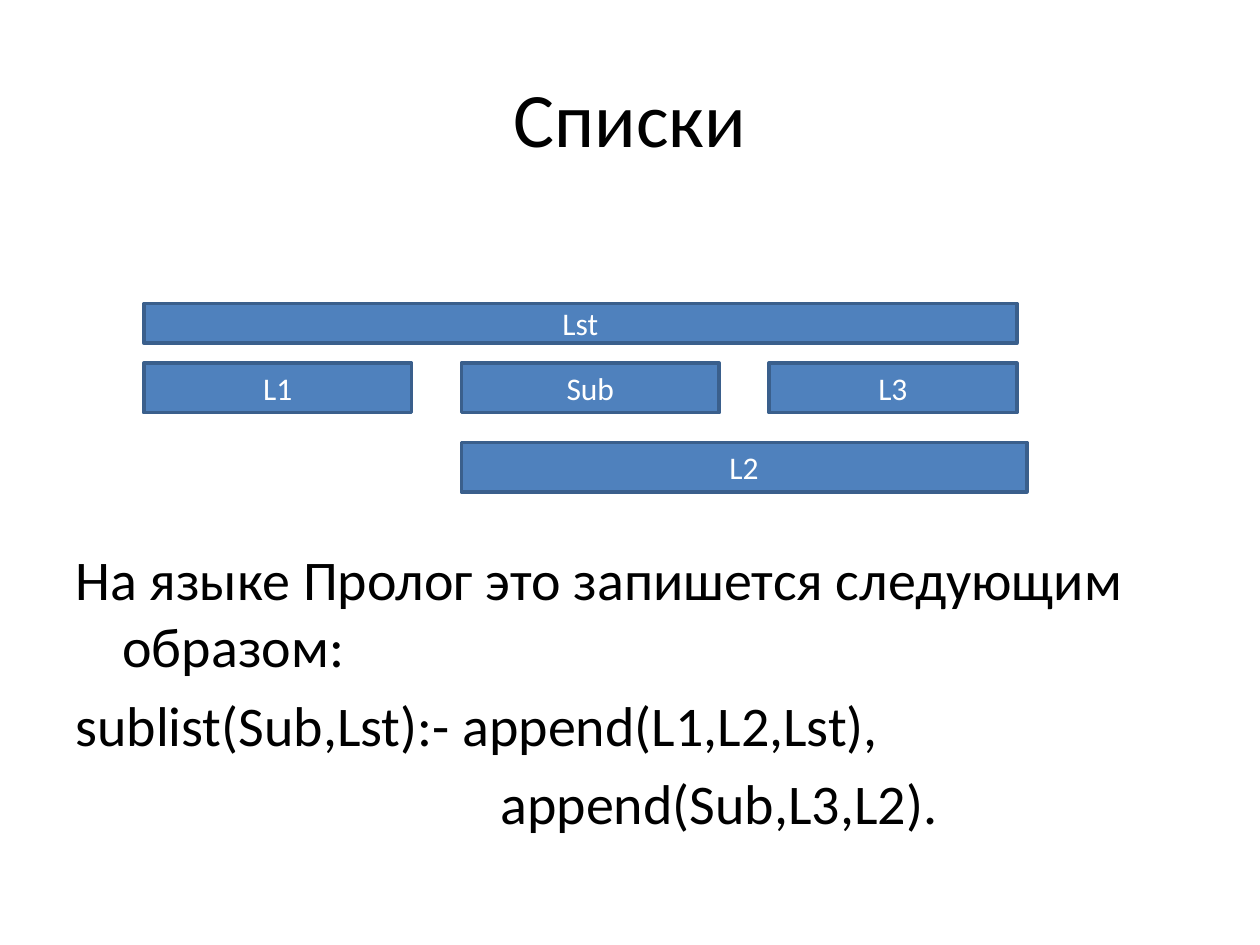
from pptx import Presentation
from pptx.dml.color import RGBColor
from pptx.enum.shapes import MSO_SHAPE
from pptx.enum.text import MSO_ANCHOR, PP_ALIGN
from pptx.util import Cm, Pt


def color(hex_string):
    return RGBColor.from_string(hex_string)


class SlideBuilder:
    font = "Calibri"
    text_color = "000000"
    bar_fill = "4F81BD"
    bar_line = "3A5F8C"
    bar_text = "FFFFFF"

    def __init__(self, slide):
        self.s = slide

    def run(self, p, text, size, hex_string):
        r = p.add_run()
        r.text = text
        r.font.name = self.font
        r.font.size = Pt(size)
        r.font.color.rgb = color(hex_string)

    def title(self, text, left, top, width, height):
        sp = self.s.shapes.add_textbox(Cm(left), Cm(top), Cm(width), Cm(height))
        tf = sp.text_frame
        tf.word_wrap = True
        tf.vertical_anchor = MSO_ANCHOR.MIDDLE
        p = tf.paragraphs[0]
        p.alignment = PP_ALIGN.CENTER
        self.run(p, text, 44, self.text_color)

    def body(self, lines, left, top, width, height):
        """Each line is (text, left margin, first-line indent), in cm."""
        sp = self.s.shapes.add_textbox(Cm(left), Cm(top), Cm(width), Cm(height))
        tf = sp.text_frame
        tf.word_wrap = True
        for i, (text, margin, indent) in enumerate(lines):
            p = tf.add_paragraph() if i else tf.paragraphs[0]
            p.space_before = Pt(6.4 if i else 0)
            pPr = p._p.get_or_add_pPr()
            pPr.set("marL", str(Cm(margin)))
            pPr.set("indent", str(Cm(indent)))
            self.run(p, text, 32, self.text_color)

    def bar(self, text, left, top, width, height):
        sp = self.s.shapes.add_shape(
            MSO_SHAPE.RECTANGLE, Cm(left), Cm(top), Cm(width), Cm(height))
        sp.shadow.inherit = False
        sp.fill.solid()
        sp.fill.fore_color.rgb = color(self.bar_fill)
        sp.line.color.rgb = color(self.bar_line)
        sp.line.width = Pt(2)
        tf = sp.text_frame
        tf.word_wrap = True
        tf.vertical_anchor = MSO_ANCHOR.MIDDLE
        p = tf.paragraphs[0]
        p.alignment = PP_ALIGN.CENTER
        self.run(p, text, 18, self.bar_text)


def main():
    prs = Presentation()
    prs.slide_width, prs.slide_height = Cm(25.4), Cm(19.05)
    b = SlideBuilder(prs.slides.add_slide(prs.slide_layouts[6]))

    # Title and text
    b.title("Списки", 1.27, 0.76, 22.86, 3.18)
    hanging = 0.95
    b.body([
        ("На языке Пролог это запишется следующим образом:", hanging, -hanging),
        ("sublist(Sub,Lst):- append(L1,L2,Lst),", hanging, -hanging),
        ("append(Sub,L3,L2).", 8.57, 0),
    ], 1.27, 10.85, 22.86, 6.17)

    # Parts of the list: L1, Sub and L3 share a row
    list_left, sub_left, row_top, bar_height = 2.9, 9.3, 7.32, 1
    for text, left, width in (("L1", list_left, 5.4),
                              ("Sub", sub_left, 5.2),
                              ("L3", 15.5, 5)):
        b.bar(text, left, row_top, width, bar_height)

    # Whole list above, its tail below
    b.bar("Lst", list_left, row_top - 1.2, 17.6, 0.8)
    b.bar("L2", sub_left, row_top + 1.6, 11.4, bar_height)

    prs.save("out.pptx")


if __name__ == "__main__":
    main()
